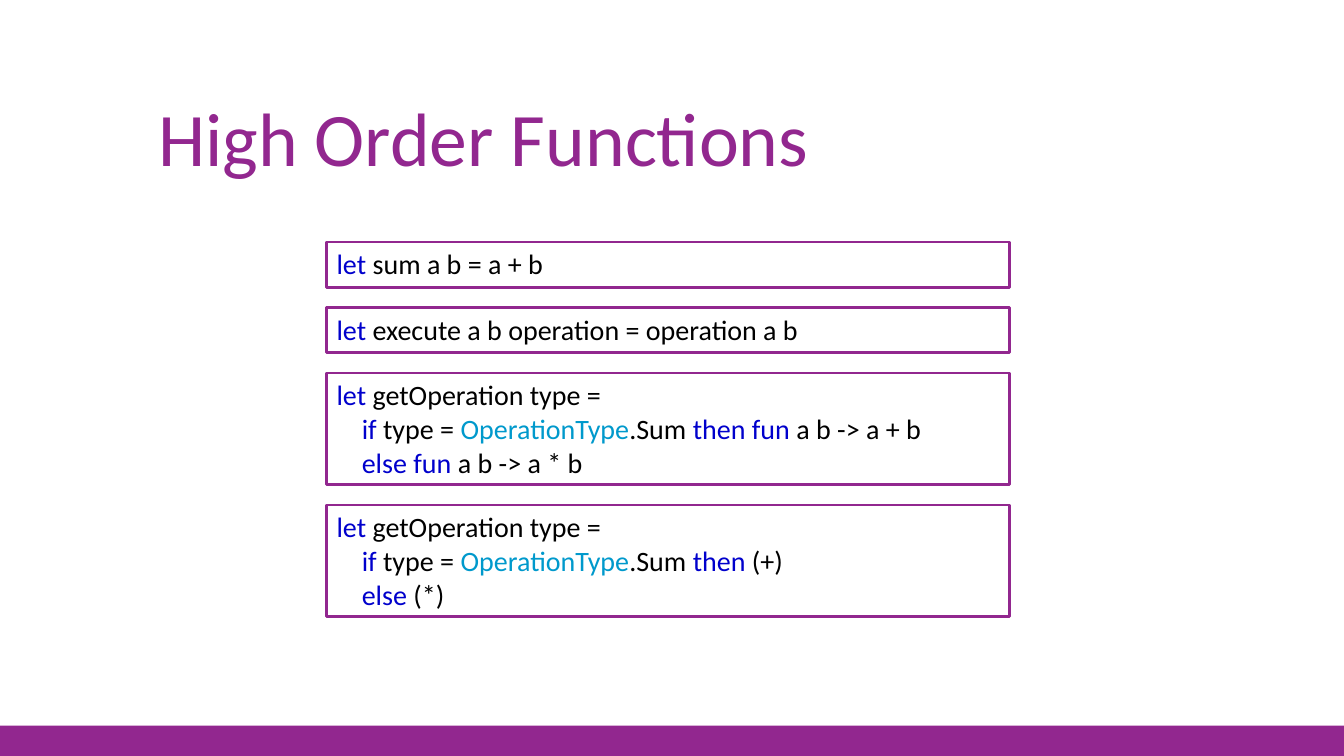
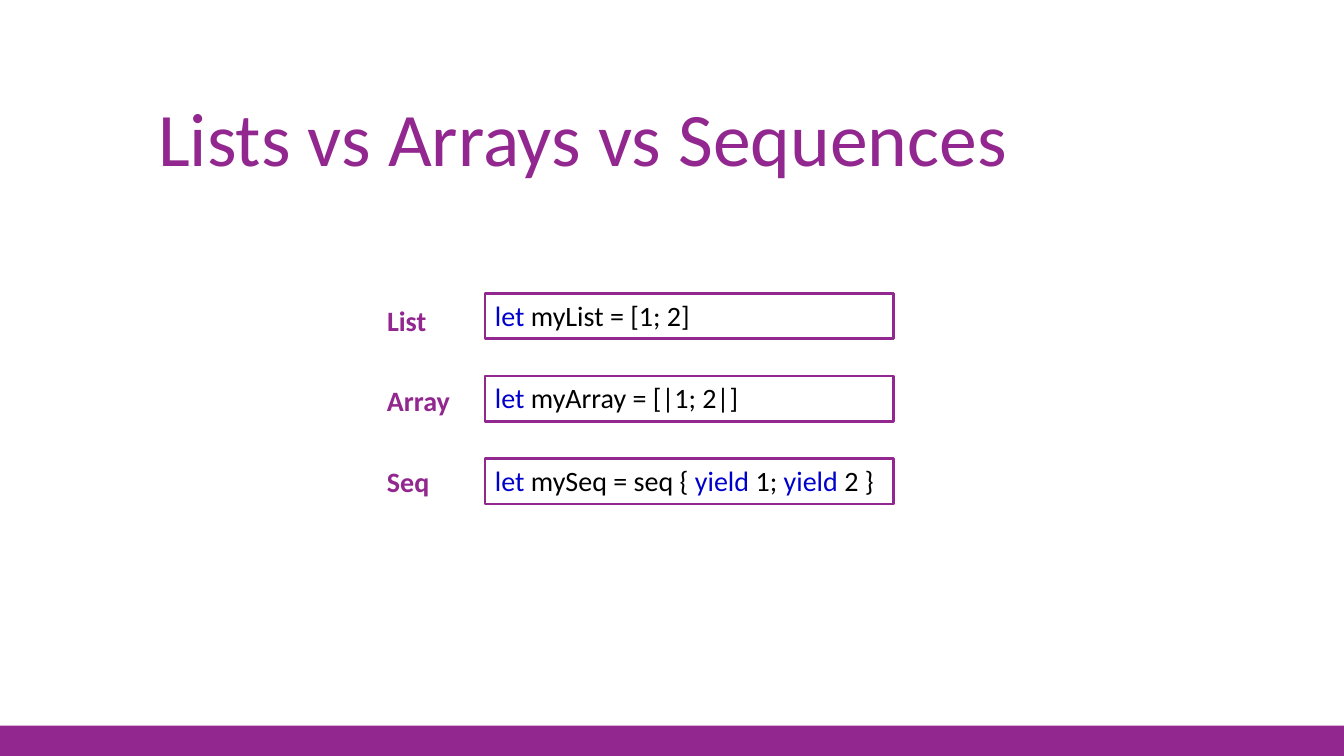
from pptx import Presentation
from pptx.dml.color import RGBColor
from pptx.enum.shapes import MSO_SHAPE as Shape
from pptx.enum.text import MSO_ANCHOR as Anchor
from pptx.util import Inches, Pt

PURPLE, WHITE, BLACK = "92278F", "FFFFFF", "000000"
BLUE, CYAN = "0000CC", "0099CC"
FONT = "Calibri"
INDENT = 0.25


def paint(part, hue):
    """Give a fill, line or font part a solid colour."""
    part.solid()
    part.fore_color.rgb = RGBColor.from_string(hue)


def write(slide, text, spot, size=20, hue=BLACK, bold=False, wrap=True,
          anchor=Anchor.TOP, space=1.0, framed=False):
    """Add text; a tab indents a line, backticks enclose coloured code."""
    box = slide.shapes.add_textbox(*map(Inches, spot))
    if framed:
        paint(box.fill, WHITE)
        paint(box.line.fill, PURPLE)
        box.line.width = Pt(2)
    frame = box.text_frame
    frame.word_wrap = wrap
    frame.vertical_anchor = anchor
    for row, line in enumerate(text.split("\n")):
        para = frame.add_paragraph() if row else frame.paragraphs[0]
        para.line_spacing = space
        if line.startswith("\t"):
            para._p.get_or_add_pPr().set("marL", str(Inches(INDENT)))
        for turn, piece in enumerate(line.strip("\t").split("`")):
            if not piece:
                continue
            run = para.add_run()
            run.text = piece
            run.font.name = FONT
            run.font.size = Pt(size)
            run.font.bold = bold
            code = CYAN if piece == "OperationType" else BLUE
            paint(run.font.fill, code if turn % 2 else hue)


deck = Presentation()
deck.slide_width, deck.slide_height = Inches(13.33), Inches(7.5)

# Shared band and title
slides = []
for title in ("High Order Functions", "Lists vs Arrays vs Sequences"):
    slide = deck.slides.add_slide(deck.slide_layouts[6])
    band = slide.shapes.add_shape(
        Shape.RECTANGLE, 0, Inches(7.2), deck.slide_width, Inches(0.3))
    band.shadow.inherit = False
    paint(band.fill, PURPLE)
    band.line.fill.background()
    write(slide, title, (1.47, 0.51, 10.4, 1.35), size=54, hue=PURPLE,
          anchor=Anchor.BOTTOM, space=0.9)
    slides.append(slide)
orders, kinds = slides

# High order functions: a stack of code boxes
head = "`let `getOperation type =\n\t`if `type = `OperationType`.Sum "
stack = [
    ("`let `sum a b = a + b", 0.45),
    ("`let `execute a b operation = operation a b", 0.45),
    (head + "`then fun `a b -> a + b\n\t`else fun `a b -> a * b", 1.11),
    (head + "`then `(+)\n\t`else `(*)", 1.11),
]
top, gap = 2.4, 0.2
for code, tall in stack:
    write(orders, code, (3.24, top, 6.77, tall), framed=True)
    top += tall + gap

# Collections: a label and a code box in each row
rows = [
    ("List", 0.59, "`let `myList = [1; 2]"),
    ("Array", 0.83, "`let `myArray = [|1; 2|]"),
    ("Seq", 0.63, "`let `mySeq = seq { `yield `1; `yield `2 }"),
]
for row, (name, wide, code) in enumerate(rows):
    write(kinds, code, (4.81, 2.91 + 0.82 * row, 4.05, 0.45), framed=True)
    write(kinds, name, (3.74, 2.96 + 0.8 * row, wide, 0.44),
          hue=PURPLE, bold=True, wrap=False)

deck.save("out.pptx")
